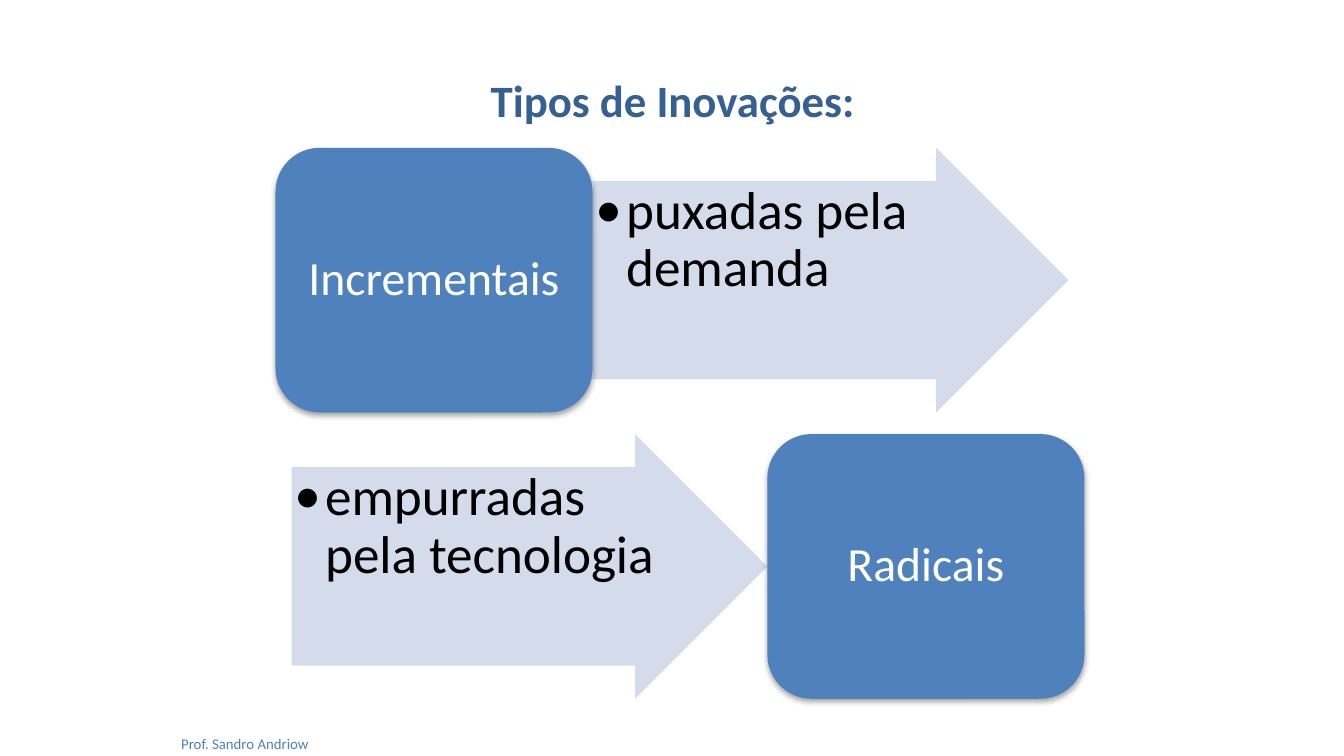
from lxml.etree import SubElement
from pptx import Presentation
from pptx.dml.color import RGBColor
from pptx.enum.shapes import MSO_SHAPE
from pptx.enum.text import MSO_ANCHOR, PP_ALIGN
from pptx.oxml.ns import qn
from pptx.util import Inches, Pt

COLORS = {"title": "376092", "box": "4F81BD", "arrow": "D0D8E8",
          "on_box": "FFFFFF", "on_arrow": "000000", "shadow": "000000"}

# 16:9 slide
prs = Presentation()
prs.slide_width = Inches(10)
prs.slide_height = prs.slide_width * 9 // 16
s = prs.slides.add_slide(prs.slide_layouts[5])


def add_run(p, text, size, color, bold=False):
    r = p.add_run()
    r.text = text
    r.font.name, r.font.size, r.font.bold = "Calibri", Pt(size), bold
    r.font.color.rgb = RGBColor.from_string(COLORS[color])


def add_block(kind, left, top, width, height, color, margins):
    sp = s.shapes.add_shape(kind, *map(Inches, (left, top, width, height)))
    sp.shadow.inherit = False
    sp.fill.solid()
    sp.fill.fore_color.rgb = RGBColor.from_string(COLORS[color])
    sp.line.fill.background()
    tf = sp.text_frame
    tf.word_wrap = True
    tf.margin_left = tf.margin_right = Inches(margins[0])
    tf.margin_top = tf.margin_bottom = Inches(margins[1])
    tf.paragraphs[0].line_spacing = 0.9
    return sp


# Title
title = s.shapes.title
title.left, title.top = Inches(1.63), Inches(0.27)
title.width, title.height = Inches(6.75), Inches(0.94)
tf = title.text_frame
tf.vertical_anchor = MSO_ANCHOR.MIDDLE
tf.paragraphs[0].alignment = PP_ALIGN.CENTER
add_run(tf.paragraphs[0], "Tipos de Inovações:", 24, "title", True)

# Grid: each row holds a box and an arrow 1.5 times as wide
TOP, PITCH, ROW_H = 1.1, 2.13, 1.97
BOX_W = 2.36
ARROW_W = 1.5 * BOX_W
rows = [
    ("Incrementais", 2.05, "puxadas pela demanda", 2.05 + BOX_W),
    ("Radicais", 2.17 + ARROW_W, "empurradas pela tecnologia", 2.17),
]
for i, (name, box_x, detail, arrow_x) in enumerate(rows):
    y = TOP + i * PITCH

    # Arrow with a bulleted text
    sp = add_block(MSO_SHAPE.RIGHT_ARROW, arrow_x, y, ARROW_W, ROW_H, "arrow", (0.02, 0.02))
    sp.adjustments[0], sp.adjustments[1] = 0.75, 0.5
    fill = sp.fill._xPr.find(qn("a:solidFill"))
    SubElement(fill[0], qn("a:alpha"), val="90000")
    tf = sp.text_frame
    tf.vertical_anchor = MSO_ANCHOR.TOP
    p = tf.paragraphs[0]
    p.alignment = PP_ALIGN.LEFT
    p.level = 1
    pPr = p._p.get_or_add_pPr()
    pPr.set("marL", str(Inches(0.23)))
    pPr.set("indent", str(-Inches(0.23)))
    SubElement(pPr, qn("a:buFont"), typeface="Calibri")
    SubElement(pPr, qn("a:buChar"), char="•")
    add_run(p, detail, 28.5, "on_arrow")

    # Rounded box with a soft shadow below
    sp = add_block(MSO_SHAPE.ROUNDED_RECTANGLE, box_x, y, BOX_W, ROW_H, "box", (0.1, 0.05))
    effects = sp._element.spPr.find(qn("a:effectLst"))
    shadow = SubElement(effects, qn("a:outerShdw"), blurRad=str(Pt(3.1)),
                        dist=str(Pt(1.8)), dir="5400000", rotWithShape="0")
    tint = SubElement(shadow, qn("a:srgbClr"), val=COLORS["shadow"])
    SubElement(tint, qn("a:alpha"), val="35000")
    tf = sp.text_frame
    tf.vertical_anchor = MSO_ANCHOR.MIDDLE
    tf.paragraphs[0].alignment = PP_ALIGN.CENTER
    add_run(tf.paragraphs[0], name, 25.5, "on_box")

# Author line
author = s.shapes.add_textbox(Inches(1.25), Inches(5.42), Inches(1.16), Inches(0.23))
author.text_frame.word_wrap = False
add_run(author.text_frame.paragraphs[0], "Prof. Sandro Andriow", 7.9, "box")

prs.save("out.pptx")
